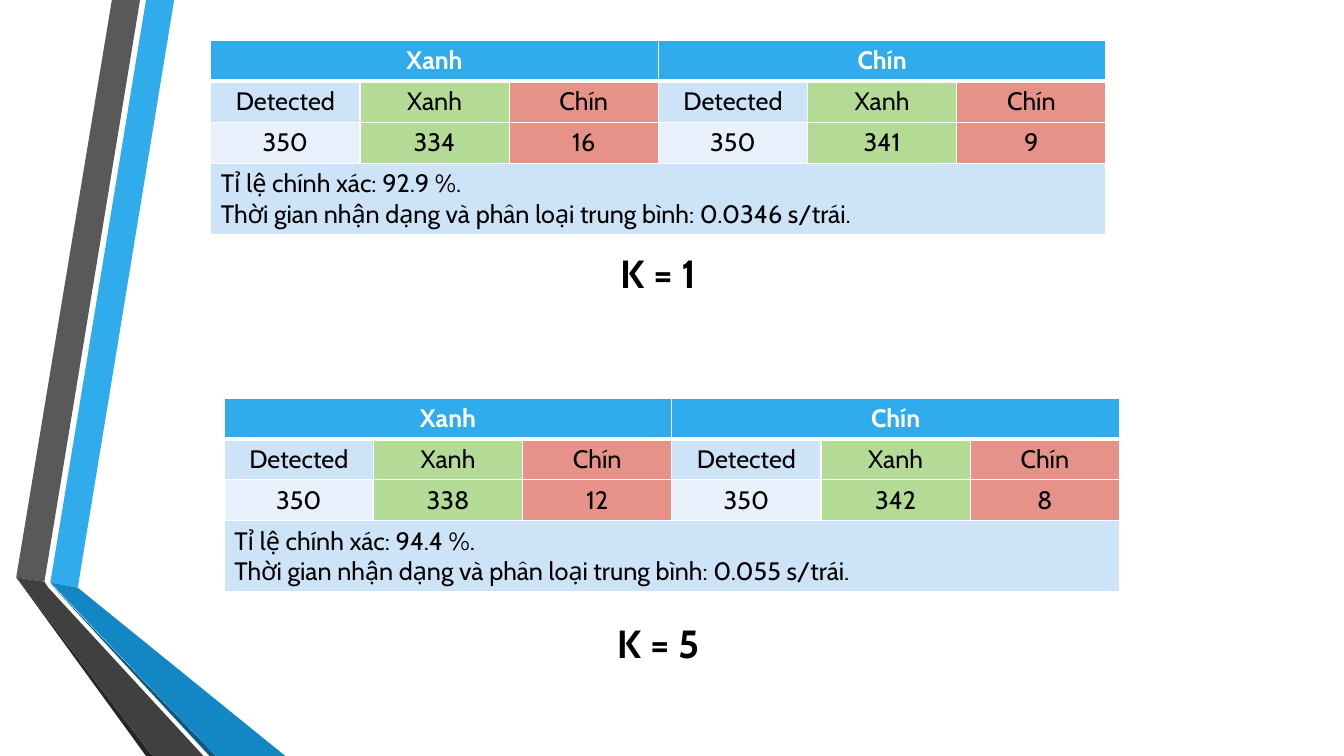
from lxml.etree import SubElement
from pptx import Presentation
from pptx.dml.color import RGBColor
from pptx.enum.text import MSO_ANCHOR as ANCHOR, PP_ALIGN as ALIGN
from pptx.oxml.ns import qn
from pptx.util import Cm, Pt

BLUE, PALE, LIGHT = "30ACEC", "CDE3F8", "E8F1FB"
GREEN, RED, WHITE, BLACK = "B3DB95", "E69289", "FFFFFF", "000000"


def color(code):
    return RGBColor.from_string(code)


class Deck:
    font = "Cabin"
    col_w = 3.76
    row_heights = (1.03, 1.03, 1.03, 1.79)

    def __init__(self):
        self.prs = Presentation()
        self.prs.slide_width, self.prs.slide_height = Cm(33.87), Cm(19.05)
        self.s = self.prs.slides.add_slide(self.prs.slide_layouts[6])

    def text(self, tf, lines, align=ALIGN.CENTER, size=18, code=BLACK, bold=False):
        tf.word_wrap = True
        for i, line in enumerate(lines):
            p = tf.paragraphs[0] if i == 0 else tf.add_paragraph()
            p.alignment = align
            r = p.add_run()
            r.text = line
            for name, value in dict(name=self.font, size=Pt(size), bold=bold).items():
                setattr(r.font, name, value)
            r.font.color.rgb = color(code)

    def band(self, points, code):
        start, *rest = [(Cm(x), Cm(y)) for x, y in points]
        fb = self.s.shapes.build_freeform(*start)
        fb.add_line_segments(rest, close=True)
        sp = fb.convert_to_shape()
        sp.shadow.inherit = False
        sp.fill.solid()
        sp.fill.fore_color.rgb = color(code)
        sp.line.fill.background()

    def caption(self, label, y):
        sp = self.s.shapes.add_textbox(Cm(11.53), Cm(y), Cm(10.11), Cm(1.78))
        sp.text_frame.vertical_anchor = ANCHOR.TOP
        self.text(sp.text_frame, [label], size=28, bold=True)

    def borders(self, cell, row):
        tcPr = cell._tc.get_or_add_tcPr()
        thick = {0: "lnB", 1: "lnT"}.get(row)
        for side in ("lnL", "lnR", "lnT", "lnB"):
            ln = SubElement(tcPr, qn("a:" + side), w=str(Pt(3 if side == thick else 1)))
            fill = SubElement(ln, qn("a:solidFill"))
            SubElement(fill, qn("a:srgbClr"), val=WHITE)

    def results(self, x, y, counts, notes):
        frame = self.s.shapes.add_table(4, 6, Cm(x), Cm(y), Cm(6 * self.col_w),
                                        Cm(sum(self.row_heights)))
        table = frame.table
        for col in table.columns:
            col.width = Cm(self.col_w)
        for row, height in zip(table.rows, self.row_heights):
            row.height = Cm(height)
        fills = ([BLUE] * 6, [PALE, GREEN, RED] * 2, [LIGHT, GREEN, RED] * 2, [PALE] * 6)
        for i, codes in enumerate(fills):
            for j, code in enumerate(codes):
                cell = table.cell(i, j)
                self.borders(cell, i)
                cell.fill.solid()
                cell.fill.fore_color.rgb = color(code)
        # Merged header and notes
        for j, label in ((0, "Xanh"), (3, "Chín")):
            table.cell(0, j).merge(table.cell(0, j + 2))
            self.text(table.cell(0, j).text_frame, [label], code=WHITE, bold=True)
        table.cell(3, 0).merge(table.cell(3, 5))
        self.text(table.cell(3, 0).text_frame, notes, ALIGN.LEFT)
        # Labels and counts
        for i, values in ((1, ["Detected", "Xanh", "Chín"] * 2), (2, counts)):
            for j, value in enumerate(values):
                self.text(table.cell(i, j).text_frame, [str(value)])


def main():
    deck = Deck()

    # Folded ribbons on the left
    ribbons = [
        (BLUE, [(1.27, 14.68), (1.96, 14.81), (4.39, 0), (3.68, 0)]),
        ("595959", [(3.53, 0), (2.82, 0), (0.41, 14.55), (1.12, 14.66)]),
        ("262626", [(0.41, 14.55), (3.68, 19.05), (3.84, 19.05)]),
        ("0C5A82", [(1.27, 14.71), (5.28, 19.05), (5.44, 19.05)]),
        ("1287C3", [(1.27, 14.68), (5.44, 19.05), (7.19, 19.05), (1.96, 14.81)]),
        ("404040", [(5.13, 19.05), (1.22, 14.81), (1.12, 14.66), (0.41, 14.55),
                    (3.84, 19.05)]),
    ]
    for code, points in ribbons:
        deck.band(points, code)

    # Result tables with their captions
    trials = [
        (1, 5.31, 1.02, 6.17, [350, 334, 16, 350, 341, 9], "92.9", "0.0346"),
        (5, 5.65, 10.03, 15.49, [350, 338, 12, 350, 342, 8], "94.4", "0.055"),
    ]
    for k, x, y, caption_y, counts, rate, seconds in trials:
        deck.results(x, y, counts, [
            f"Tỉ lệ chính xác: {rate} %.",
            f"Thời gian nhận dạng và phân loại trung bình: {seconds} s/trái."])
        deck.caption(f"K = {k}", caption_y)

    deck.prs.save("out.pptx")


if __name__ == "__main__":
    main()
